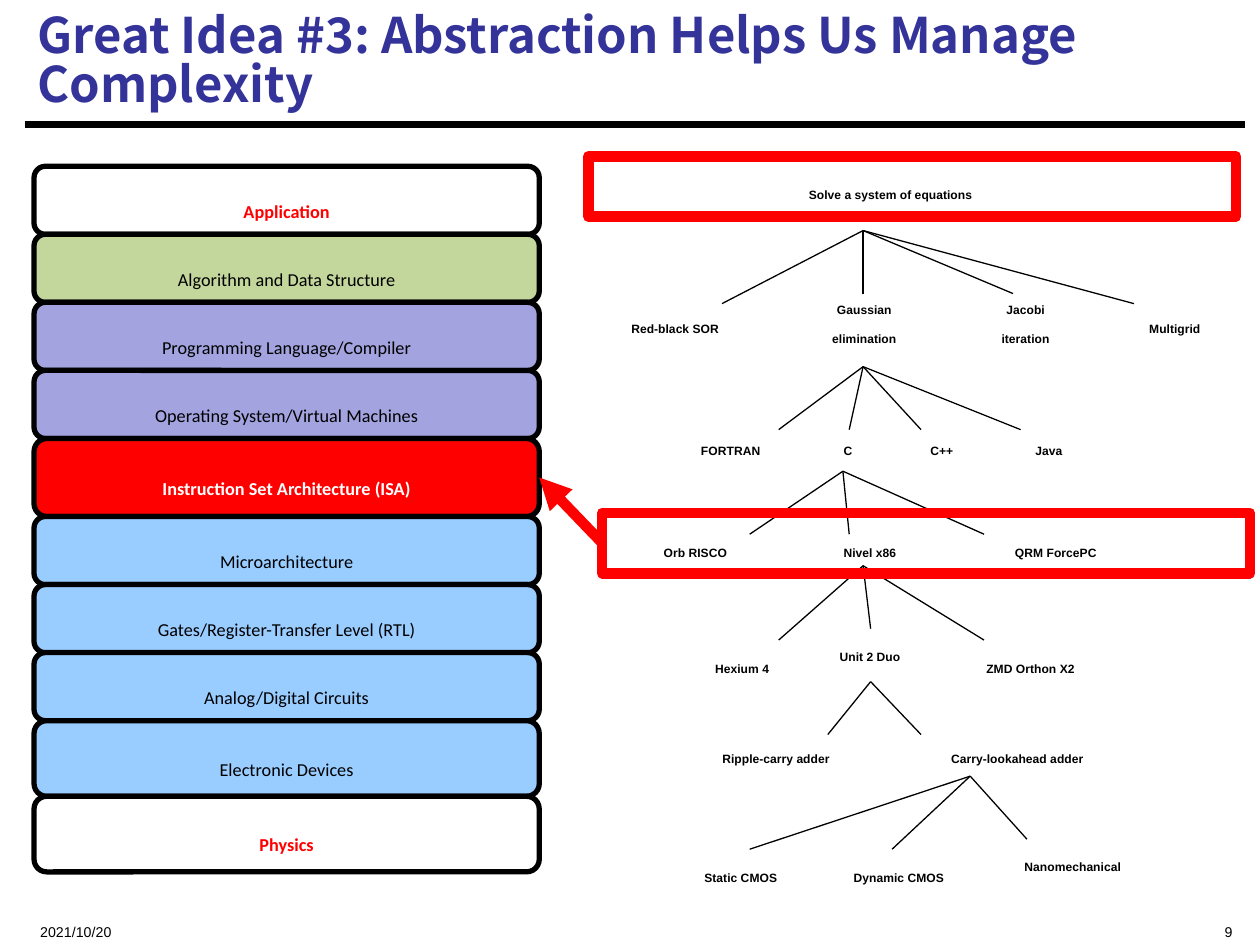
"""Build the slide on abstraction layers and the choices below each one."""
from typing import NamedTuple

from lxml import etree
from pptx import Presentation
from pptx import util as u
from pptx.dml.color import RGBColor
from pptx.enum import shapes, text
from pptx.oxml.ns import qn

HUES = {"black": "000000", "white": "FFFFFF", "red": "FF0000", "blue": "333399",
        "green": "C3D69B", "violet": "A3A3E0", "sky": "99CCFF"}
LEFT, MID, RIGHT = text.PP_ALIGN.LEFT, text.PP_ALIGN.CENTER, text.PP_ALIGN.RIGHT


class Style(NamedTuple):
    font: str
    size: float
    hue: str = "black"
    bold: bool = False
    sub: bool = True


class Bar(NamedTuple):
    words: str
    fill: str
    high: float = 0.54
    hue: str = "black"
    bold: bool = False


class Row(NamedTuple):
    top: float
    cells: tuple[tuple[float, float, str], ...]


class Fan(NamedTuple):
    x: float
    y: float
    ends: tuple[tuple[float, float], ...]


TITLE = Style("Noto Sans CJK SC", 28, "blue", True, False)
FOOT = Style("Arial", 14)
LABEL = Style("Arial", 12, bold=True)

BARS = (
    Bar("Application", "white", hue="red", bold=True),
    Bar("Algorithm and Data Structure", "green"),
    Bar("Programming Language/Compiler", "violet"),
    Bar("Operating System/Virtual Machines", "violet"),
    Bar("Instruction Set Architecture (ISA)", "red", 0.62, "white", True),
    Bar("Microarchitecture", "sky"),
    Bar("Gates/Register-Transfer Level (RTL)", "sky"),
    Bar("Analog/Digital Circuits", "sky"),
    Bar("Electronic Devices", "sky", 0.6),
    Bar("Physics", "white", 0.6, "red", True),
)
ROWS = (
    Row(1.33, ((5.62, 2.9, "Solve a system of equations"),)),
    Row(2.24, ((6.22, 1.28, "Gaussian\nelimination"), (7.63, 1.02, "Jacobi\niteration"))),
    Row(2.39, ((4.53, 1.66, "Red-black SOR"), (8.79, 1.07, "Multigrid"))),
    Row(3.36, ((5.2, 1.2, "FORTRAN"), (6.54, 0.38, "C"), (7.17, 0.61, "C++"),
               (7.99, 0.67, "Java"))),
    Row(4.17, ((4.85, 1.34, "Orb RISCO"), (6.39, 1.03, "Nivel x86"),
               (7.62, 1.52, "QRM ForcePC"))),
    Row(4.99, ((6.26, 1.29, "Unit 2 Duo"),)),
    Row(5.09, ((5.3, 1.18, "Hexium 4"), (7.35, 1.66, "ZMD Orthon X2"))),
    Row(5.8, ((5.17, 1.98, "Ripple-carry adder"), (6.88, 2.39, "Carry-lookahead adder"))),
    Row(6.66, ((7.61, 1.81, "Nanomechanical"),)),
    Row(6.75, ((5.17, 1.42, "Static CMOS"), (6.28, 1.71, "Dynamic CMOS"))),
)
FANS = (
    Fan(6.85, 1.83, ((5.73, 2.41), (6.85, 2.33), (8.04, 2.33), (9, 2.41))),
    Fan(6.85, 2.91, ((6.18, 3.41), (6.74, 3.41), (7.31, 3.41), (8.1, 3.41))),
    Fan(6.69, 3.74, ((5.95, 4.24), (6.74, 4.24), (7.81, 4.24))),
    Fan(6.85, 4.49, ((6.18, 5.08), (6.91, 4.99), (7.81, 5.08))),
    Fan(6.91, 5.41, ((6.57, 5.83), (7.31, 5.83))),
    Fan(7.7, 6.16, ((5.95, 6.74), (7.08, 6.74), (8.15, 6.66))),
)


def tint(name: str) -> RGBColor:
    """Look up a colour by name."""
    return RGBColor.from_string(HUES[name])


def write(shape, words: str, style: Style, align, wrap: bool = False) -> None:
    """Fill a shape with styled text, one paragraph to a line."""
    frame = shape.text_frame
    frame.word_wrap = wrap
    for i, line in enumerate(words.split("\n")):
        para = frame.paragraphs[0] if i == 0 else frame.add_paragraph()
        para.alignment = align
        run = para.add_run()
        run.text = line
        font = run.font
        font.name, font.size, font.bold = style.font, u.Pt(style.size), style.bold
        font.color.rgb = tint(style.hue)
        rpr = run._r.get_or_add_rPr()
        if style.sub:
            rpr.set("baseline", "-25000")
        etree.SubElement(rpr, qn("a:ea")).set("typeface", style.font)


def note(slide, box: tuple, words: str, style: Style, align, wrap: bool = False):
    """Add a text box."""
    shape = slide.shapes.add_textbox(*map(u.Inches, box))
    write(shape, words, style, align, wrap)
    return shape


def block(slide, kind, box: tuple, fill: str | None, edge: str, width: float):
    """Add an outlined shape, filled or hollow."""
    shape = slide.shapes.add_shape(kind, *map(u.Inches, box))
    shape.shadow.inherit = False
    if fill:
        shape.fill.solid()
        shape.fill.fore_color.rgb = tint(fill)
    else:
        shape.fill.background()
    shape.line.color.rgb = tint(edge)
    shape.line.width = u.Pt(width)
    return shape


def wire(slide, start: tuple, end: tuple, hue: str, width: float):
    """Add a straight line without shadow."""
    line = slide.shapes.add_connector(
        shapes.MSO_CONNECTOR.STRAIGHT, *map(u.Inches, (*start, *end)))
    line.line.color.rgb = tint(hue)
    line.line.width = u.Pt(width)
    etree.SubElement(line._element.spPr, qn("a:effectLst"))
    return line


def stack(slide) -> dict:
    """Draw the layer bars from top to bottom."""
    top, made = 1.32, {}
    for bar in BARS:
        box = (0.27, top, 4.01, bar.high)
        shape = block(slide, shapes.MSO_SHAPE.ROUNDED_RECTANGLE, box, bar.fill, "black", 3)
        shape.text_frame.vertical_anchor = text.MSO_ANCHOR.MIDDLE
        write(shape, bar.words, Style("Calibri", 18, bar.hue, bar.bold), MID)
        made[bar.words] = shape
        top += bar.high
    return made


def tree(slide) -> None:
    """Draw the labels and the fans of lines between them."""
    for row in ROWS:
        for left, wide, words in row.cells:
            high = 0.3 + 0.21 * words.count("\n")
            note(slide, (left, row.top, wide, high), words, LABEL, MID)
    for fan in FANS:
        for end in fan.ends:
            wire(slide, (fan.x, fan.y), end, "black", 0.75)


def main() -> None:
    """Build and save the slide."""
    deck = Presentation()
    deck.slide_width, deck.slide_height = u.Inches(10), u.Inches(7.5)
    slide = deck.slides.add_slide(deck.slide_layouts[6])
    wire(slide, (0.2, 0.99), (9.88, 0.99), "black", 3.75)
    head = note(slide, (0.2, 0.08, 9.67, 0.84),
                "Great Idea #3: Abstraction Helps Us Manage Complexity", TITLE, LEFT, True)
    head.text_frame.vertical_anchor = text.MSO_ANCHOR.MIDDLE
    head.text_frame.paragraphs[0].line_spacing = 0.83
    note(slide, (0.22, 7.15, 2.5, 0.27), "2021/10/20", FOOT, LEFT, True)
    note(slide, (6.88, 7.15, 3, 0.27), "9", FOOT, RIGHT, True)
    tree(slide)
    chips, _ = [block(slide, shapes.MSO_SHAPE.RECTANGLE, (left, top, 5.14, 0.48),
                      None, "red", 6) for left, top in ((4.78, 4.07), (4.67, 1.24))]
    bars = stack(slide)
    arrow = wire(slide, (4.78, 4.31), (4.28, 3.79), "red", 6)
    arrow.begin_connect(chips, 1)
    arrow.end_connect(bars["Instruction Set Architecture (ISA)"], 3)
    etree.SubElement(arrow.line._get_or_add_ln(), qn("a:tailEnd")).set("type", "triangle")
    deck.save("out.pptx")


if __name__ == "__main__":
    main()
